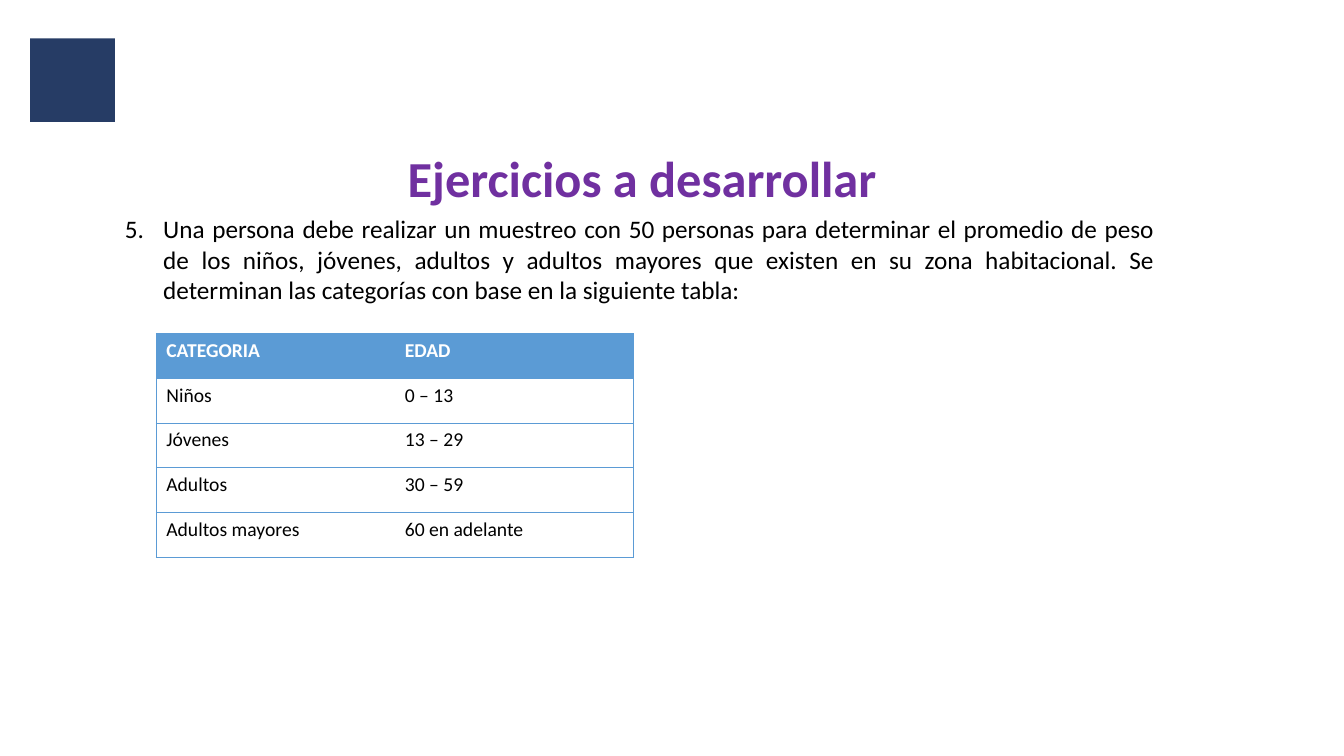
from typing import NamedTuple

from lxml.etree import SubElement as Sub
from pptx import Presentation
from pptx.dml.color import RGBColor as Rgb
from pptx.enum.shapes import MSO_SHAPE as Shape
from pptx.enum.text import MSO_AUTO_SIZE as Fit, PP_ALIGN as Align
from pptx.oxml.ns import qn
from pptx.util import Inches, Pt

HUES = {"navy": "263C65", "purple": "7030A0", "blue": "5B9BD5",
        "black": "000000", "white": "FFFFFF"}


class Label(NamedTuple):
    box: tuple[float, float, float, float]
    text: str
    size: int
    hue: str
    bold: bool
    align: Align
    wrap: bool
    start: int = 0  # first list number, 0 for plain text


class Row(NamedTuple):
    group: str
    age: str


TITLE = Label((3.92, 1.41, 4.9, 0.71), "Ejercicios a desarrollar",
              36, "purple", True, Align.CENTER, False)
TASK = Label((1.14, 2.07, 10.41, 1.01),
             "Una persona debe realizar un muestreo con 50 personas para "
             "determinar el promedio de peso de los niños, jóvenes, adultos y "
             "adultos mayores que existen en su zona habitacional. Se "
             "determinan las categorías con base en la siguiente tabla:",
             18, "black", False, Align.JUSTIFY, True, 5)
ROWS = [Row("CATEGORIA", "EDAD"), Row("Niños", "0 – 13"),
        Row("Jóvenes", "13 – 29"), Row("Adultos", "30 – 59"),
        Row("Adultos mayores", "60 en adelante")]


def tint(name: str) -> Rgb:
    return Rgb.from_string(HUES[name])


def style(para, size: int, hue: str, bold: bool) -> None:
    font = para.font
    font.name, font.size, font.bold = "Calibri", Pt(size), bold
    font.color.rgb = tint(hue)


def number(para, start: int) -> None:
    props = para._p.get_or_add_pPr()
    props.set("marL", str(Inches(0.38)))
    props.set("indent", str(Inches(-0.38)))
    Sub(props, qn("a:buFont"), typeface="+mj-lt")
    Sub(props, qn("a:buAutoNum"), type="arabicPeriod", startAt=str(start))


def write(slide, item: Label) -> None:
    box = slide.shapes.add_textbox(*map(Inches, item.box))
    frame = box.text_frame
    frame.word_wrap = item.wrap
    frame.auto_size = Fit.SHAPE_TO_FIT_TEXT
    para = frame.paragraphs[0]
    para.text, para.alignment = item.text, item.align
    if item.start:
        number(para, item.start)
    style(para, item.size, item.hue, item.bold)


def border(cell, col: int, last: int) -> None:
    props = cell._tc.get_or_add_tcPr()
    shown = {"L": col == 0, "R": col == last, "T": True, "B": True}
    for side, drawn in shown.items():
        line = Sub(props, qn(f"a:ln{side}"), w=str(Pt(0.5)))
        if drawn:
            fill = Sub(line, qn("a:solidFill"))
            Sub(fill, qn("a:srgbClr"), val=HUES["blue"])
        else:
            Sub(line, qn("a:noFill"))


def tabulate(slide, rows: list[Row]) -> None:
    count, wide = len(rows), len(Row._fields)
    table = slide.shapes.add_table(
        count, wide, Inches(1.55), Inches(3.31),
        Inches(4.73), Inches(2.22)).table
    table.horz_banding = False
    for r, row in enumerate(rows):
        head = r == 0
        for c, text in enumerate(row):
            cell = table.cell(r, c)
            cell.text = text
            style(cell.text_frame.paragraphs[0], 14,
                  "white" if head else "black", head)
            border(cell, c, wide - 1)
            if head:
                cell.fill.solid()
                cell.fill.fore_color.rgb = tint("blue")
            else:
                cell.fill.background()


def main() -> None:
    deck = Presentation()
    deck.slide_width, deck.slide_height = Inches(13.33), Inches(7.5)
    slide = deck.slides.add_slide(deck.slide_layouts[6])

    # Corner block
    block = slide.shapes.add_shape(
        Shape.RECTANGLE, Inches(0.3), Inches(0.38), Inches(0.84), Inches(0.83))
    block.shadow.inherit = False
    block.fill.solid()
    block.fill.fore_color.rgb = tint("navy")
    block.line.fill.background()

    # Title and exercise
    for item in (TITLE, TASK):
        write(slide, item)

    # Age groups
    tabulate(slide, ROWS)
    deck.save("out.pptx")


if __name__ == "__main__":
    main()
